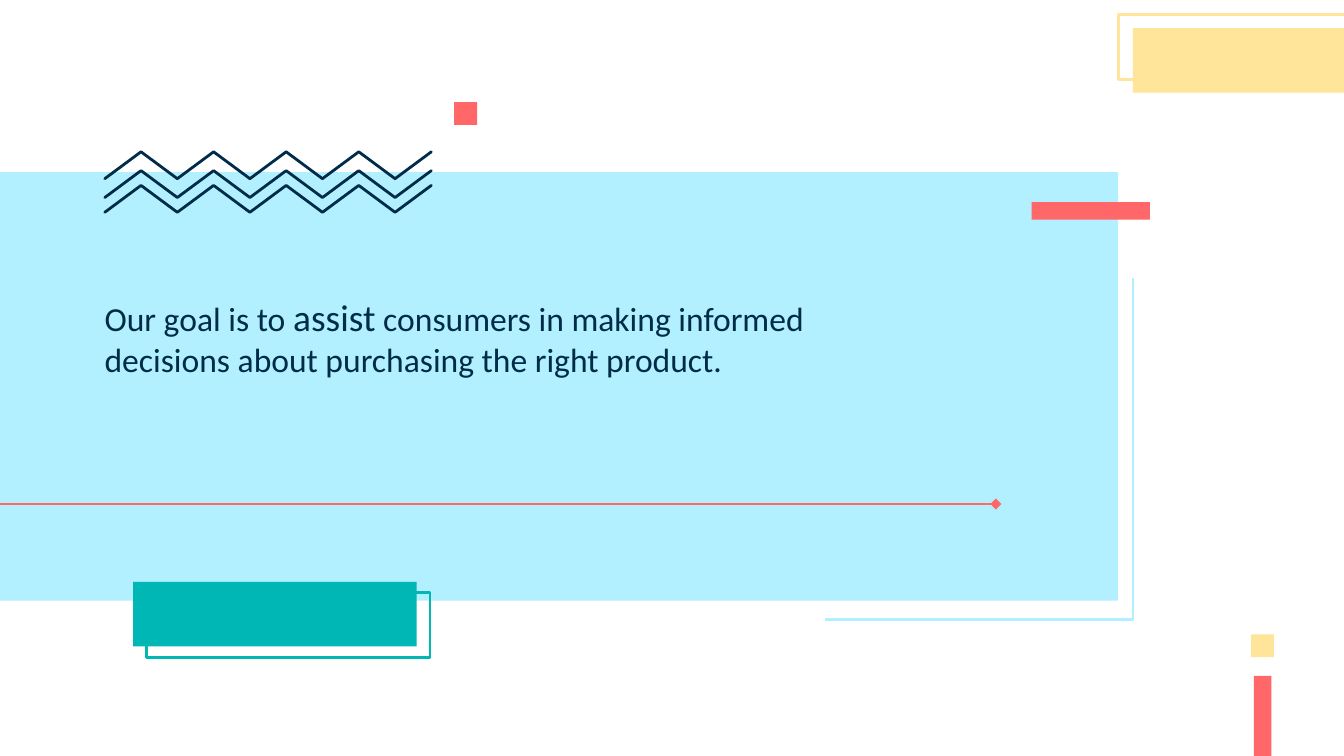
from dataclasses import dataclass
from typing import Optional

from pptx import Presentation
from pptx.dml.color import RGBColor
from pptx.enum.shapes import MSO_CONNECTOR, MSO_SHAPE
from pptx.enum.text import MSO_ANCHOR, MSO_AUTO_SIZE, PP_ALIGN
from pptx.oxml.ns import qn
from pptx.oxml.xmlchemy import OxmlElement
from pptx.util import Inches, Pt

SKY = RGBColor(0xB2, 0xF0, 0xFF)
YELLOW = RGBColor(0xFF, 0xE5, 0x99)
CORAL = RGBColor(0xFF, 0x67, 0x68)
TEAL = RGBColor(0x00, 0xB7, 0xB5)
NAVY = RGBColor(0x01, 0x2C, 0x49)
STROKE = Pt(1.5)


@dataclass
class Block:
    left: float
    top: float
    width: float
    height: float
    fill: Optional[RGBColor] = None
    outline: Optional[RGBColor] = None
    rotation: float = 0


@dataclass
class Phrase:
    text: str
    size: int


def style_stroke(shape, color: RGBColor, cap: str = "flat") -> None:
    shape.line.color.rgb = color
    shape.line.width = STROKE
    stroke = shape.element.spPr.find(qn("a:ln"))
    stroke.set("cap", cap)
    stroke.append(OxmlElement("a:round"))


def add_block(shapes, block: Block) -> None:
    box = shapes.add_shape(
        MSO_SHAPE.RECTANGLE,
        Inches(block.left), Inches(block.top), Inches(block.width), Inches(block.height),
    )
    box.rotation = block.rotation
    box.shadow.inherit = False
    if block.fill is None:
        box.fill.background()
    else:
        box.fill.solid()
        box.fill.fore_color.rgb = block.fill
    if block.outline is None:
        box.line.fill.background()
    else:
        style_stroke(box, block.outline)


def add_polyline(shapes, points: list[tuple[float, float]], color: RGBColor,
                 cap: str = "flat") -> None:
    start, *rest = [(Inches(x), Inches(y)) for x, y in points]
    builder = shapes.build_freeform(*start)
    builder.add_line_segments(rest, close=False)
    polyline = builder.convert_to_shape()
    polyline.shadow.inherit = False
    polyline.fill.background()
    style_stroke(polyline, color, cap)


def add_diamond_line(shapes, start: tuple[float, float], end: tuple[float, float],
                     color: RGBColor) -> None:
    rule = shapes.add_connector(
        MSO_CONNECTOR.STRAIGHT, *(Inches(value) for value in start + end))
    style_stroke(rule, color)
    diamond = OxmlElement("a:headEnd")
    diamond.set("type", "diamond")
    rule.element.spPr.find(qn("a:ln")).append(diamond)
    rule.element.spPr.append(OxmlElement("a:effectLst"))


def add_statement(shapes, phrases: list[Phrase]) -> None:
    frame = shapes.add_textbox(
        Inches(0.68), Inches(2.09), Inches(6.29), Inches(1.57)).text_frame
    frame_format = {
        "word_wrap": True,
        "auto_size": MSO_AUTO_SIZE.NONE,
        "vertical_anchor": MSO_ANCHOR.TOP,
        "margin_left": Inches(0.1),
        "margin_top": Inches(0.1),
        "margin_right": Inches(0.1),
        "margin_bottom": Inches(0.1),
    }
    for name, value in frame_format.items():
        setattr(frame, name, value)
    paragraph = frame.paragraphs[0]
    paragraph.alignment = PP_ALIGN.LEFT
    for phrase in phrases:
        run = paragraph.add_run()
        run.text = phrase.text
        run.font.name = "Calibri"
        run.font.size = Pt(phrase.size)
        run.font.color.rgb = NAVY


BACKDROP = [
    Block(8.43, 0.21, 2.11, 0.48, fill=YELLOW),
    Block(9.31, 4.72, 0.17, 0.17, fill=YELLOW),
    Block(8.32, 0.11, 2.11, 0.48, outline=YELLOW),
    Block(9.33, 5.03, 0.13, 0.88, fill=CORAL),
]
ACCENTS = [
    Block(0.99, 4.33, 2.11, 0.48, fill=TEAL),
    Block(1.09, 4.41, 2.11, 0.48, outline=TEAL),
    Block(8.05, 1.13, 0.13, 0.88, fill=CORAL, rotation=90),
    Block(3.38, 0.76, 0.17, 0.17, fill=CORAL),
]
STATEMENT = [
    Phrase("Our goal is to ", 18),
    Phrase("assist", 20),
    Phrase(" consumers in making informed decisions about purchasing the right product.", 18),
]
ZIGZAG_TOPS = [1.13, 1.27, 1.38]
ZIGZAG_LEFT, ZIGZAG_STEP, ZIGZAG_HEIGHT, ZIGZAG_POINTS = 0.78, 0.27, 0.2, 10


def main() -> None:
    deck = Presentation()
    deck.slide_width = Inches(10)
    deck.slide_height = Inches(10 * 9 / 16)
    shapes = deck.slides.add_slide(deck.slide_layouts[6]).shapes

    # Main panel with its corner line
    add_block(shapes, Block(-0.07, 1.28, 8.39, 3.19, fill=SKY))
    add_polyline(shapes, [(6.14, 4.61), (8.43, 4.61), (8.43, 2.07)], SKY)

    # Decoration along the right edge
    for block in BACKDROP:
        add_block(shapes, block)

    # Goal statement
    add_statement(shapes, STATEMENT)

    # Zigzags: low points at even steps, peaks at odd ones
    for top in ZIGZAG_TOPS:
        points = [
            (ZIGZAG_LEFT + i * ZIGZAG_STEP, top + (0 if i % 2 else ZIGZAG_HEIGHT))
            for i in range(ZIGZAG_POINTS)
        ]
        add_polyline(shapes, points, NAVY, cap="rnd")

    # Accents and the rule under the statement
    for block in ACCENTS:
        add_block(shapes, block)
    add_diamond_line(shapes, (7.41, 3.75), (-0.2, 3.75), CORAL)

    deck.save("out.pptx")


if __name__ == "__main__":
    main()
